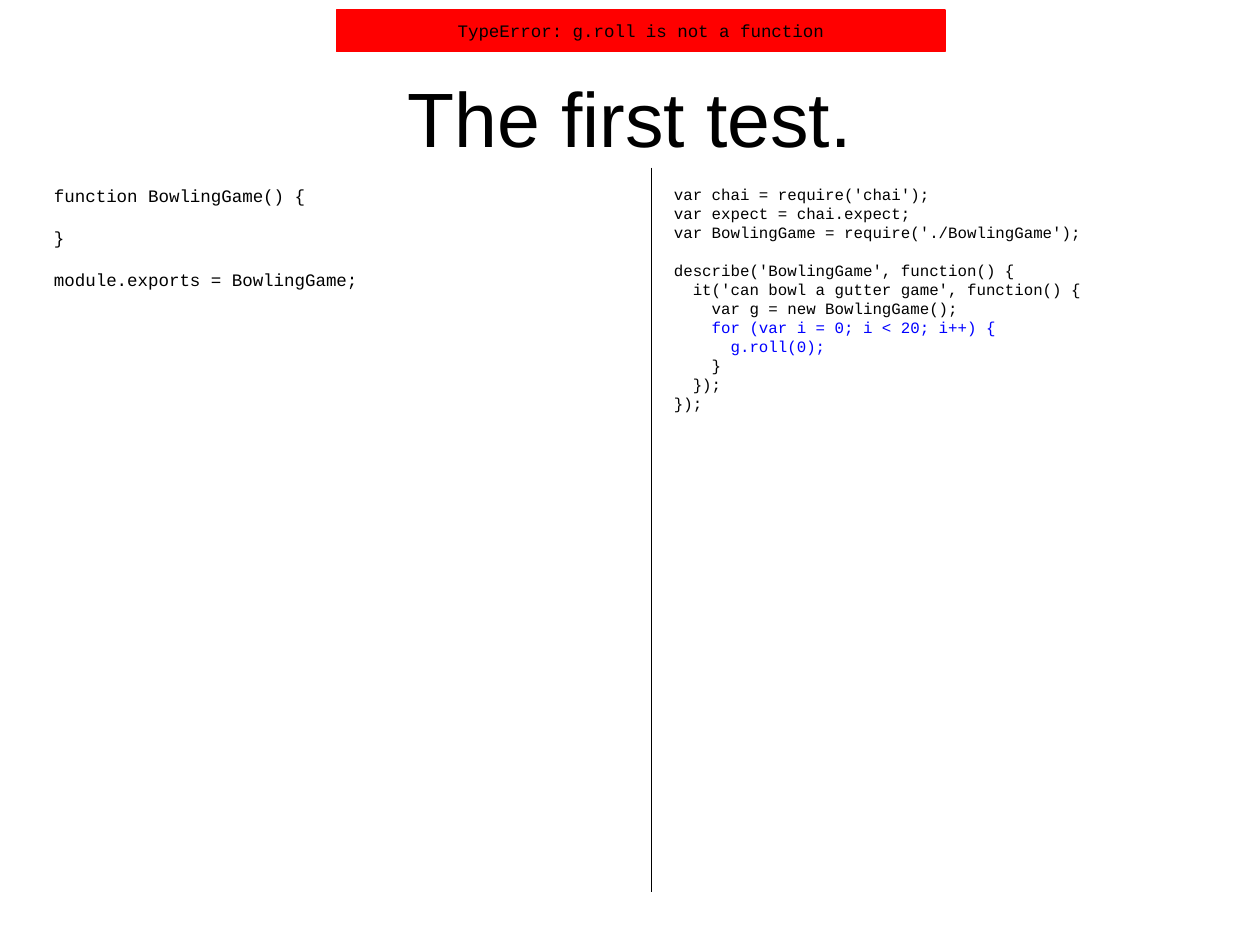
"""Build the slide that shows the first failing test of the bowling game."""
from lxml import etree
from pptx import Presentation
from pptx.dml.color import RGBColor
from pptx.enum.shapes import MSO_CONNECTOR, MSO_SHAPE
from pptx.enum.text import MSO_ANCHOR, MSO_AUTO_SIZE, PP_ALIGN
from pptx.oxml.ns import qn
from pptx.util import Inches, Pt

CENTER = PP_ALIGN.CENTER
LEFT = PP_ALIGN.LEFT
MIDDLE = MSO_ANCHOR.MIDDLE
FIT_SHAPE = MSO_AUTO_SIZE.SHAPE_TO_FIT_TEXT
RECTANGLE = MSO_SHAPE.RECTANGLE
STRAIGHT = MSO_CONNECTOR.STRAIGHT
TITLE_ONLY = 5

COLORS = {"text": "000000", "added": "0000FF", "error": "FF0000"}
TITLE_FONT = "Arial"
CODE_FONT = "Courier New"
LINE_HEIGHT = 1.2

GAME_CODE = """function BowlingGame() {

}

module.exports = BowlingGame;"""

TEST_CODE = """var chai = require('chai');
var expect = chai.expect;
var BowlingGame = require('./BowlingGame');

describe('BowlingGame', function() {
  it('can bowl a gutter game', function() {
    var g = new BowlingGame();
    for (var i = 0; i < 20; i++) {
      g.roll(0);
    }
  });
});"""

ADDED_LINES = ("    for (var i = 0; i < 20; i++) {", "      g.roll(0);")


class SlideBuilder:
    def __init__(self, presentation):
        self.slide = presentation.slides.add_slide(presentation.slide_layouts[TITLE_ONLY])

    def color(self, name):
        return RGBColor.from_string(COLORS[name])

    def set_text(self, paragraph, text, font, size, color="text", align=LEFT):
        paragraph.text = text
        paragraph.alignment = align
        paragraph.font.name = font
        paragraph.font.size = Pt(size)
        paragraph.font.color.rgb = self.color(color)

    def title(self, text, left, top, width, height):
        title = self.slide.shapes.title
        title.left, title.top = Inches(left), Inches(top)
        title.width, title.height = Inches(width), Inches(height)
        title.text_frame.vertical_anchor = MIDDLE
        self.set_text(title.text_frame.paragraphs[0], text, TITLE_FONT, 44, align=CENTER)

    def code(self, source, left, top, width, height, size, added=()):
        box = self.slide.shapes.add_textbox(
            Inches(left), Inches(top), Inches(width), Inches(height))
        frame = box.text_frame
        frame.word_wrap = True
        frame.auto_size = FIT_SHAPE
        for index, block in enumerate(source.split("\n\n")):
            for row, line in enumerate(block.split("\n")):
                first = index == row == 0
                paragraph = frame.paragraphs[0] if first else frame.add_paragraph()
                color = "added" if line in added else "text"
                self.set_text(paragraph, line, CODE_FONT, size, color)
                if index and row == 0:
                    paragraph.space_before = Pt(size * LINE_HEIGHT)

    def divider(self, x, top, bottom):
        line = self.slide.shapes.add_connector(
            STRAIGHT, Inches(x), Inches(top), Inches(x), Inches(bottom))
        line.line.color.rgb = self.color("text")
        line.line.width = Pt(0.75)
        etree.SubElement(line._element.spPr, qn("a:effectLst"))

    def banner(self, text, left, top, width, height):
        banner = self.slide.shapes.add_shape(
            RECTANGLE, Inches(left), Inches(top), Inches(width), Inches(height))
        banner.shadow.inherit = False
        banner.fill.solid()
        banner.fill.fore_color.rgb = self.color("error")
        banner.line.color.rgb = self.color("error")
        banner.line.width = Pt(0.75)
        frame = banner.text_frame
        frame.word_wrap = False
        frame.vertical_anchor = MIDDLE
        self.set_text(frame.paragraphs[0], text, CODE_FONT, 10, align=CENTER)


def main():
    presentation = Presentation()
    presentation.slide_width, presentation.slide_height = Inches(10), Inches(7.5)
    builder = SlideBuilder(presentation)
    builder.title("The first test.", 0.5, 0.3, 9, 1.25)
    builder.code(GAME_CODE, 0.33, 1.42, 4.42, 0.94, 10)
    builder.divider(5.17, 1.33, 7.08)
    builder.code(TEST_CODE, 5.25, 1.42, 4.42, 2.06, 9, ADDED_LINES)
    builder.banner("TypeError: g.roll is not a function", 2.67, 0.08, 4.83, 0.33)
    presentation.save("out.pptx")


if __name__ == "__main__":
    main()
